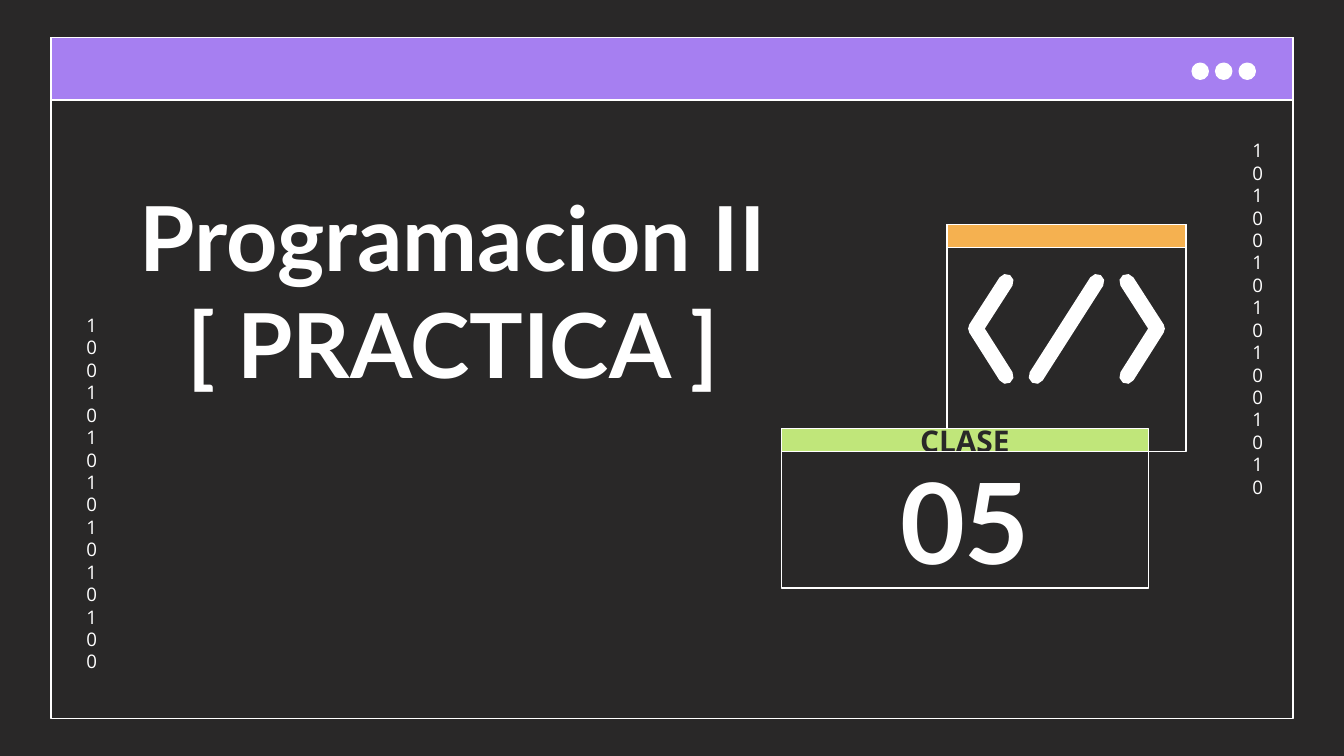
import math

from pptx import Presentation
from pptx import util as u
from pptx.dml.color import RGBColor
from pptx.enum import shapes, text

COLUMNS, ROWS = 100, 56.25
CELL = u.Inches(10) / COLUMNS
DARK, WHITE = "292828", "FFFFFF"
PURPLE, ORANGE, GREEN = "A67FF1", "F5B150", "C0E67A"
RECTANGLE = shapes.MSO_SHAPE.RECTANGLE
OVAL = shapes.MSO_SHAPE.OVAL


def cells(*counts):
    return [u.Emu(round(count * CELL)) for count in counts]


def paint(fill, color):
    fill.solid()
    fill.fore_color.rgb = RGBColor.from_string(color)


def add_panel(parent, area, color=None, kind=RECTANGLE):
    shape = parent.shapes.add_shape(kind, *cells(*area))
    shape.shadow.inherit = False
    if color:
        paint(shape.fill, color)
    else:
        shape.fill.background()
    paint(shape.line.fill, WHITE)
    shape.line.width = u.Pt(0.75)
    return shape


def add_window(slide, area, bar_height, color):
    left, top, width, height = area
    window = slide.shapes.add_group_shape()
    add_panel(window, area)
    add_panel(window, (left, top, width, bar_height), color)
    return window


def write(shape, lines, font, size, color=WHITE, bold=True, anchor=text.MSO_ANCHOR.MIDDLE):
    frame = shape.text_frame
    frame.word_wrap = True
    frame.auto_size = text.MSO_AUTO_SIZE.NONE
    frame.vertical_anchor = anchor
    frame.margin_left = frame.margin_right = frame.margin_top = frame.margin_bottom = u.Inches(0.1)
    paragraph = frame.paragraphs[0]
    paragraph.alignment = text.PP_ALIGN.CENTER
    for index, line in enumerate(lines):
        if index:
            paragraph.add_line_break()
        run = paragraph.add_run()
        run.text = line
        run.font.name = font
        run.font.size = u.Pt(size)
        run.font.bold = bold
        paint(run.font.fill, color)


def add_binary_column(parent, left, top, digits):
    box = parent.shapes.add_textbox(*cells(left, top, 2.4, 28))
    write(box, [digits], "Open Sans", 10, bold=False, anchor=text.MSO_ANCHOR.TOP)


def arc(center, radius, start, end, steps=4):
    angles = [math.radians(start + (end - start) * step / steps) for step in range(steps + 1)]
    return [(center[0] + radius * math.cos(angle), center[1] + radius * math.sin(angle)) for angle in angles]


def add_code_symbol(slide):
    radius, slope, middle = 0.57, 57.5, 79.35
    top, center, bottom = 20.95, 24.45, 28
    tilt = 90 - slope
    arm, tip = 83.85, 86.1
    right = (
        arc((arm, top), radius, 90 + slope, 270 + slope)
        + arc((tip, center), radius, -tilt, tilt, 2)
        + arc((arm, bottom), radius, tilt, 180 + tilt)
        + [(tip - radius / math.sin(math.radians(slope)), center)]
    )
    left = [(2 * middle - x, y) for x, y in right]
    slash = arc((81.6, top), radius, 180 + tilt, 360 + tilt) + arc((77.1, bottom), radius, tilt, 180 + tilt)
    outlines = [[cells(*point) for point in outline] for outline in (slash, right, left)]
    builder = slide.shapes.build_freeform(*outlines[0][0])
    for index, outline in enumerate(outlines):
        if index:
            builder.move_to(*outline[0])
        builder.add_line_segments(outline[1:], close=True)
    symbol = builder.convert_to_shape()
    symbol.shadow.inherit = False
    paint(symbol.fill, WHITE)
    symbol.line.fill.background()


def add_title(slide):
    title = slide.shapes.title
    title.left, title.top, title.width, title.height = cells(9.25, 12.5, 48.9, 33.8)
    write(title, ["Programacion II", "[ PRACTICA ]"], "Lato", 48, anchor=text.MSO_ANCHOR.TOP)
    subtitle = slide.placeholders[1].element
    subtitle.getparent().remove(subtitle)


def main():
    presentation = Presentation()
    presentation.slide_width, presentation.slide_height = cells(COLUMNS, ROWS)
    slide = presentation.slides.add_slide(presentation.slide_layouts[0])
    paint(slide.background.fill, DARK)

    browser = add_window(slide, (3.8, 2.8, 92.4, 50.65), 4.65, PURPLE)
    for index in range(3):
        add_panel(browser, (88.7 + 1.75 * index, 4.7, 1.2, 1.2), WHITE, OVAL)
    binary = slide.shapes.add_group_shape()
    add_binary_column(binary, 92.2, 9.35, "1010010101001010")
    add_binary_column(binary, 5.45, 22.35, "1001010101010100")

    add_window(slide, (70.45, 16.7, 17.8, 16.9), 1.7, ORANGE)
    add_title(slide)
    add_code_symbol(slide)

    label = add_panel(slide, (58.15, 31.9, 27.3, 1.7), GREEN)
    write(label, ["CLASE"], "Open Sans", 16, DARK)
    number = add_panel(slide, (58.15, 33.6, 27.3, 10.15))
    write(number, ["05"], "Lato", 60)
    presentation.save("out.pptx")


if __name__ == "__main__":
    main()
